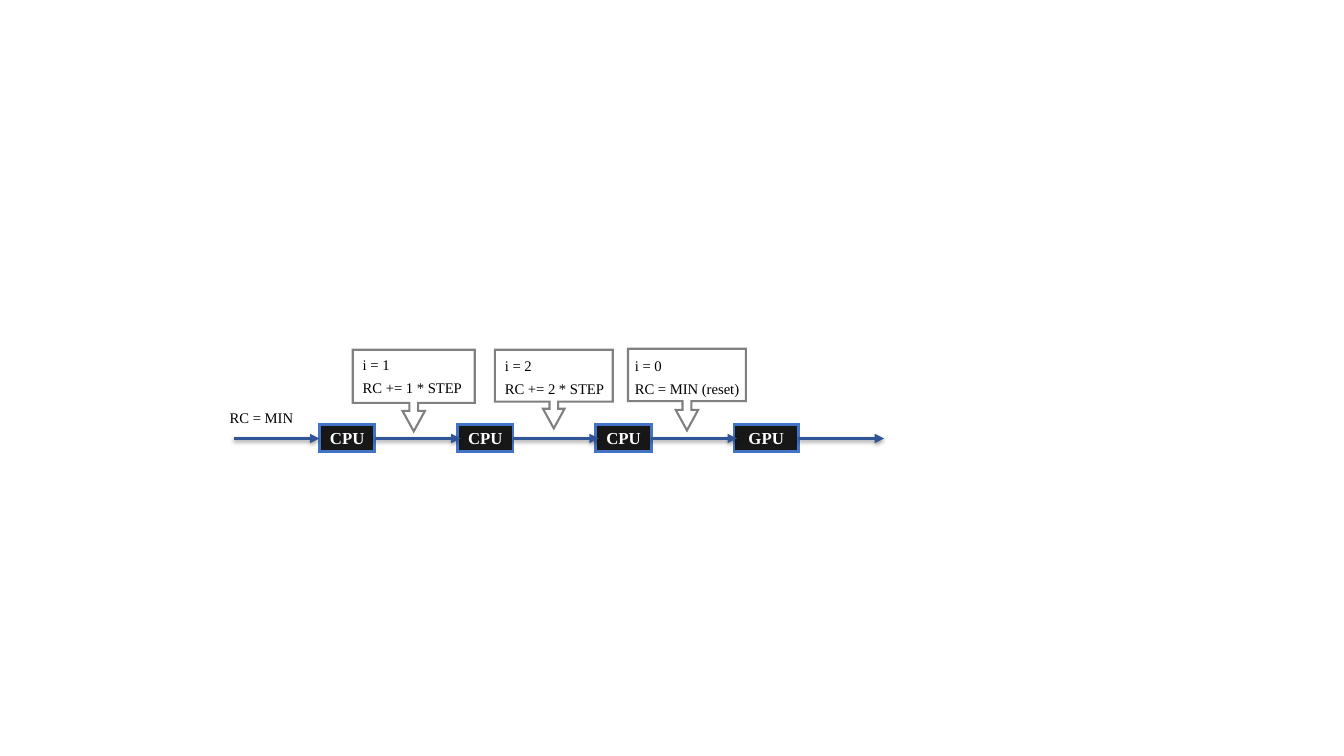
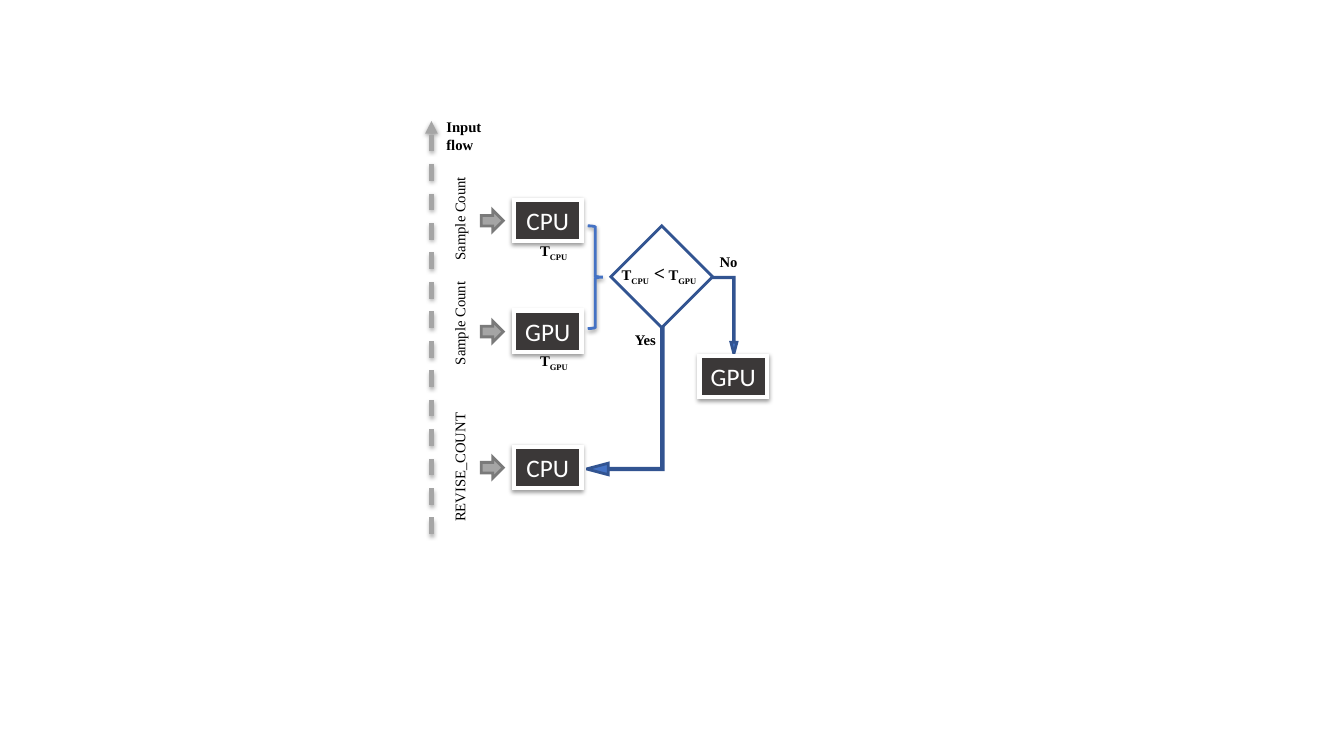
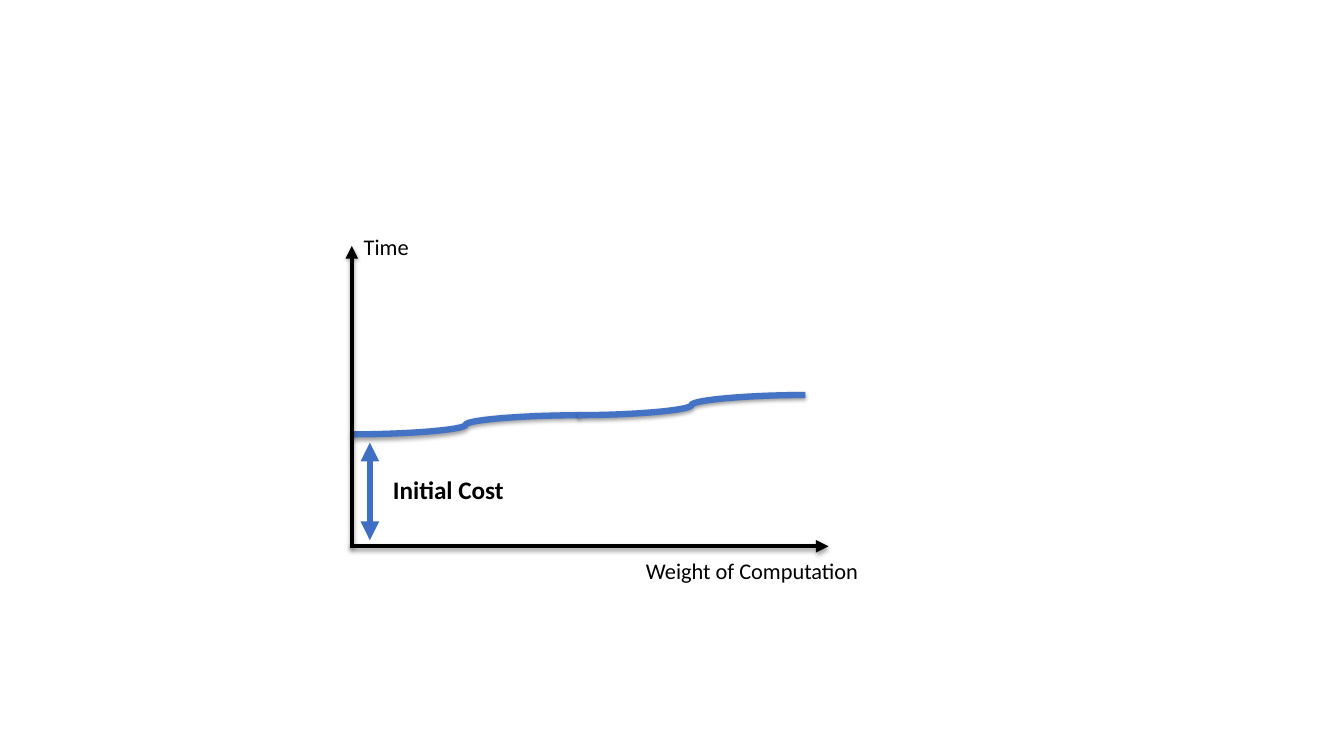
import dataclasses

import pptx
import pptx.dml.color
import pptx.enum.dml
import pptx.enum.shapes
import pptx.oxml
import pptx.oxml.ns
import pptx.util


@dataclasses.dataclass(frozen=True)
class Theme:
    black: str = "000000"
    white: str = "FFFFFF"
    processor: str = "181717"
    device: str = "3B3838"
    blue: str = "4472C4"
    cost_blue: str = "3F6FC3"
    flow_blue: str = "2F5597"
    decision_blue: str = "325491"
    callout_gray: str = "808080"
    arrow_gray: str = "A5A5A5"
    arrow_edge: str = "7A7A7A"
    serif: str = "Times New Roman"
    sans: str = "Calibri"
    label_size: float = 10.5
    processor_size: float = 12
    operator_size: float = 14
    axis_size: float = 16
    device_size: float = 18


THEME = Theme()
Pt = pptx.util.Pt
SHAPE = pptx.enum.shapes.MSO_SHAPE
CONNECTOR = pptx.enum.shapes.MSO_CONNECTOR
DRAWING_NS = pptx.oxml.ns.nsdecls("a")
SOFT_SHADOW = (
    '<a:outerShdw blurRad="39370" dist="20320" dir="5400000" rotWithShape="0">'
    '<a:srgbClr val="000000"><a:alpha val="38000"/></a:srgbClr></a:outerShdw>'
)


def paint(part, line, width, fill=None, shadow=False, arrows=(), dashed=False):
    """Style a shape or connector; arrows names its ends: headEnd, tailEnd."""
    if fill:
        part.fill.solid()
        part.fill.fore_color.rgb = pptx.dml.color.RGBColor.from_string(fill)
    part.line.color.rgb = pptx.dml.color.RGBColor.from_string(line)
    part.line.width = Pt(width)
    if dashed:
        part.line.dash_style = pptx.enum.dml.MSO_LINE.DASH
    properties = part.element.spPr
    outline = properties.find(pptx.oxml.ns.qn("a:ln"))
    outline.append(pptx.oxml.parse_xml(f'<a:miter {DRAWING_NS} lim="800000"/>'))
    for end in arrows:
        outline.append(pptx.oxml.parse_xml(f'<a:{end} {DRAWING_NS} type="triangle"/>'))
    effect = SOFT_SHADOW if shadow else ""
    properties.append(pptx.oxml.parse_xml(f"<a:effectLst {DRAWING_NS}>{effect}</a:effectLst>"))


def write(part, paragraphs, size=THEME.label_size, font=THEME.serif,
          color=THEME.black, bold=False, spacing=None):
    """Fill a shape with paragraphs, each a list of (text, size or "sub" or None)."""
    frame = part.text_frame
    frame.word_wrap = True
    for index, runs in enumerate(paragraphs):
        paragraph = frame.add_paragraph() if index else frame.paragraphs[0]
        paragraph.line_spacing = spacing
        for text, variant in runs:
            run = paragraph.add_run()
            run.text = text
            run.font.name = font
            run.font.bold = bold
            run.font.color.rgb = pptx.dml.color.RGBColor.from_string(color)
            if variant == "sub":
                run.font.size = Pt(size)
                run._r.get_or_add_rPr().set("baseline", "-25000")
            else:
                run.font.size = Pt(variant or size)


presentation = pptx.Presentation()
presentation.slide_width, presentation.slide_height = Pt(960), Pt(540)
blank = presentation.slide_layouts[6]

# Slide 1: processor pipeline
shapes = presentation.slides.add_slide(blank).shapes
flow_starts = [167]
for index, name in enumerate(["CPU", "CPU", "CPU", "GPU"]):
    left = 228.2 + 98.7 * index
    width = 46 if name == "GPU" else 39.6
    processor = shapes.add_shape(SHAPE.RECTANGLE, Pt(left), Pt(303.3), Pt(width), Pt(19.4))
    paint(processor, THEME.blue, 2, THEME.processor)
    write(processor, [[(name, None)]], THEME.processor_size, color=THEME.white, bold=True)
    flow_starts.append(left + width)

for start in flow_starts:
    flow = shapes.add_connector(
        CONNECTOR.STRAIGHT, Pt(start), Pt(313.2), Pt(start + 61.2), Pt(313.2))
    paint(flow, THEME.flow_blue, 2.25, shadow=True, arrows=["tailEnd"])

initial_count = shapes.add_textbox(Pt(157), Pt(288.4), Pt(71.3), Pt(19.4))
write(initial_count, [[("RC = MIN", None)]])

for bounds, body_share, text_bounds, step, update in [
    ((252, 249.8, 87.1, 58.3), 0.652, (252, 247, 90.7, 39.6), "i = 1", "RC += 1 * STEP"),
    ((353.5, 249.8, 84.2, 56.2), 0.66, (353.5, 247.7, 87.1, 39.6), "i = 2", "RC += 2 * STEP"),
    ((448.6, 249.1, 84.2, 58.3), 0.642, (446.4, 247.7, 96, 41.8), "i = 0", "RC = MIN (reset)"),
]:
    callout = shapes.add_shape(SHAPE.DOWN_ARROW_CALLOUT, *map(Pt, bounds))
    for index, value in enumerate([0.109, 0.137, 0.25, body_share]):
        callout.adjustments[index] = value
    paint(callout, THEME.callout_gray, 1.5, THEME.white)
    update_text = shapes.add_textbox(*map(Pt, text_bounds))
    write(update_text, [[(step, None)], [(update, None)]], spacing=1.3)

# Slide 2: choosing the device
shapes = presentation.slides.add_slide(blank).shapes
input_flow = shapes.add_connector(
    CONNECTOR.STRAIGHT, Pt(308.2), Pt(381.6), Pt(308.2), Pt(86.4))
paint(input_flow, THEME.arrow_gray, 3, shadow=True, arrows=["tailEnd"], dashed=True)

for top, label, label_middle, label_width in [
    (142.6, "Sample Count", 155.2, 75.6),
    (221.8, "Sample Count", 230, 75.6),
    (319, "REVISE_COUNT", 330.1, 99.4),
]:
    input_arrow = shapes.add_shape(
        SHAPE.RIGHT_ARROW, Pt(343.7), Pt(top + 7.5), Pt(15.8), Pt(15.1))
    paint(input_arrow, THEME.arrow_edge, 2, THEME.arrow_gray)
    count_label = shapes.add_textbox(
        Pt(328 - label_width / 2), Pt(label_middle - 9.7), Pt(label_width), Pt(19.4))
    count_label.rotation = 270
    write(count_label, [[(label, None)]])

decision = shapes.add_shape(SHAPE.DIAMOND, Pt(436.3), Pt(161.3), Pt(72.7), Pt(72.7))
paint(decision, THEME.decision_blue, 2, THEME.white)
brace = shapes.add_shape(SHAPE.RIGHT_BRACE, Pt(419.8), Pt(161.3), Pt(10.8), Pt(73.4))
brace.fill.background()
paint(brace, THEME.blue, 2, shadow=True)

for bounds, rotation, bend in [
    ((393.8, 259.2, 105.1, 54.7), 270, (0.02, 0.075, 0.283)),
    ((509.8, 198, 16.6, 54.7), 180, (0.02, 0.129, 0.5)),
]:
    branch = shapes.add_shape(SHAPE.BENT_UP_ARROW, *map(Pt, bounds))
    branch.rotation = rotation
    branch.element.spPr.xfrm.flipH = True
    for index, value in enumerate(bend):
        branch.adjustments[index] = value
    paint(branch, THEME.decision_blue, 2, THEME.blue)

for name, left, top in [
    ("CPU", 367.2, 142.6), ("GPU", 367.2, 221.8), ("CPU", 367.2, 319), ("GPU", 499.7, 254.2),
]:
    device = shapes.add_shape(SHAPE.RECTANGLE, Pt(left), Pt(top), Pt(48.2), Pt(29.5))
    paint(device, THEME.white, 3, THEME.device, shadow=True)
    write(device, [[(name, None)]], THEME.device_size, THEME.sans, THEME.white)

for bounds, runs in [
    ((378.7, 169.2, 41, 21.6), [("T", None), ("CPU", "sub")]),
    ((378.7, 247.7, 41, 21.6), [("T", None), ("GPU", "sub")]),
    ((437, 182.9, 72, 25.2), [("T", None), ("CPU", "sub"), (" <", THEME.operator_size),
                              (" T", None), ("GPU", "sub")]),
    ((446.4, 232.6, 41, 19.4), [("Yes", None)]),
    ((506.9, 177.1, 41, 19.4), [("No", None)]),
    ((311.8, 80.6, 41, 32.4), [("Input flow", None)]),
]:
    write(shapes.add_textbox(*map(Pt, bounds)), [runs], bold=True)

# Slide 3: time against weight of computation
shapes = presentation.slides.add_slide(blank).shapes
for ends in [(251.3, 310.3, 414, 296.6), (412.6, 296.6, 575.3, 282.2)]:
    time_curve = shapes.add_connector(CONNECTOR.CURVE, *map(Pt, ends))
    paint(time_curve, THEME.blue, 4.5, shadow=True)

for ends in [(251.3, 391, 251.3, 175.7), (249.8, 390.2, 591.8, 390.2)]:
    axis = shapes.add_connector(CONNECTOR.STRAIGHT, *map(Pt, ends))
    paint(axis, THEME.black, 3, shadow=True, arrows=["tailEnd"])

initial_cost = shapes.add_connector(
    CONNECTOR.STRAIGHT, Pt(264.2), Pt(316.1), Pt(264.2), Pt(385.9))
paint(initial_cost, THEME.cost_blue, 4.5, arrows=["headEnd", "tailEnd"])

for bounds, label, size, bold in [
    ((273.6, 335.5, 113.8, 50.4), "Initial Cost", THEME.device_size, True),
    ((252.7, 162.7, 113.8, 25.9), "Time", THEME.axis_size, False),
    ((454.3, 394.6, 169.9, 45.4), "Weight of Computation", THEME.axis_size, False),
]:
    write(shapes.add_textbox(*map(Pt, bounds)), [[(label, None)]], size, THEME.sans, bold=bold)

presentation.save("out.pptx")
